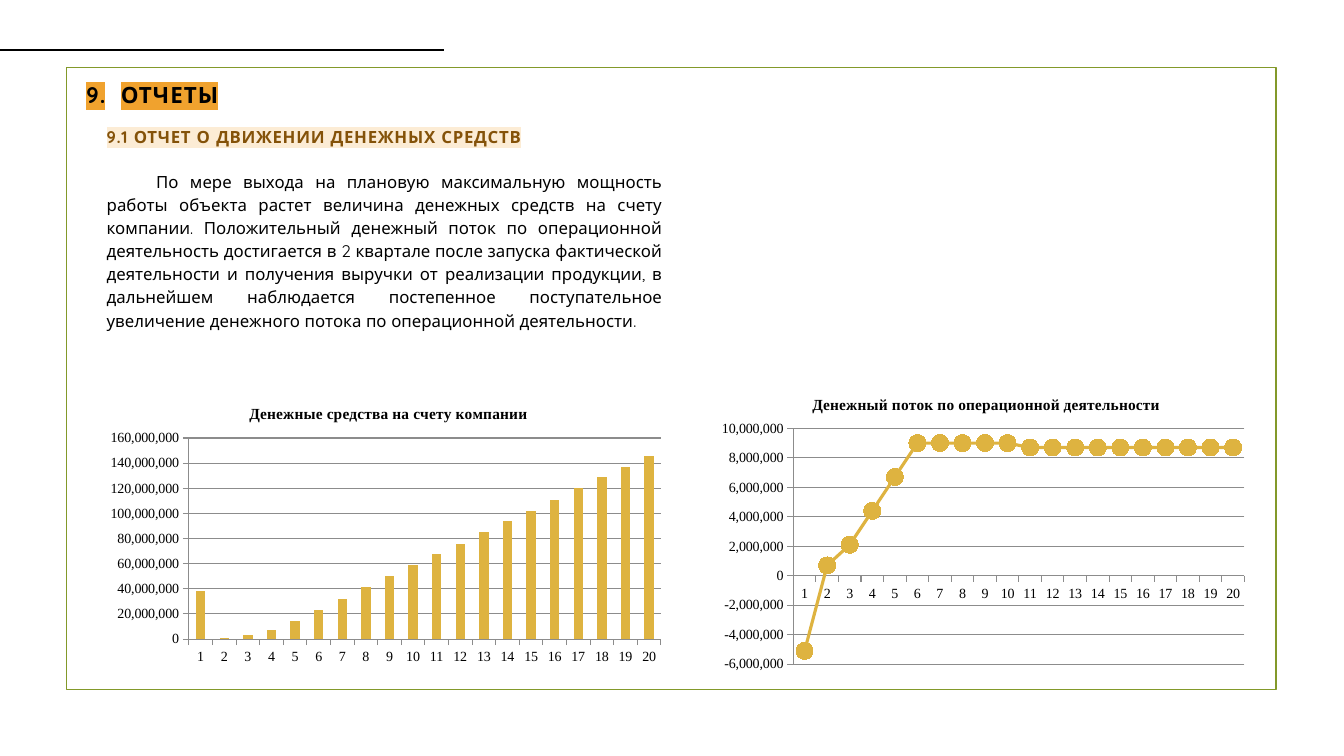
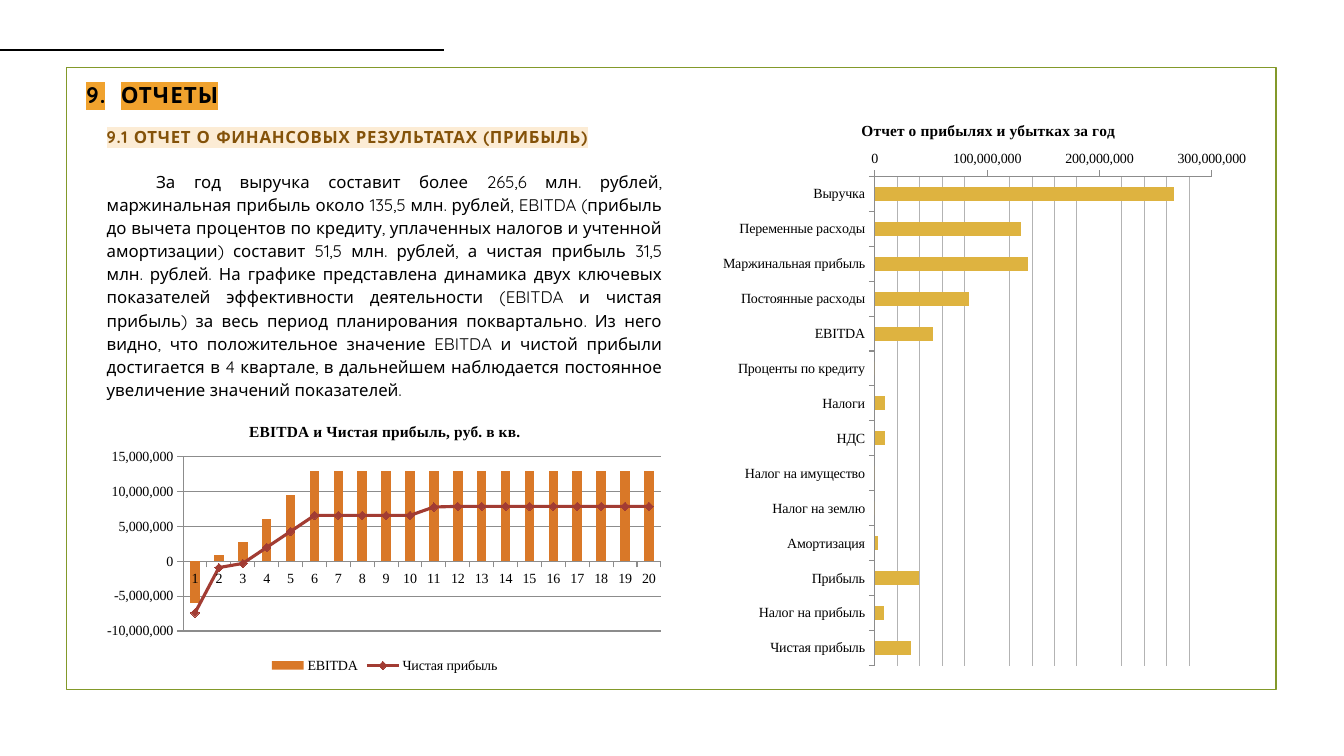
from pptx import Presentation
from pptx.chart.data import CategoryChartData
from pptx.dml.color import RGBColor
from pptx.enum.chart import XL_CHART_TYPE, XL_LEGEND_POSITION, XL_MARKER_STYLE, XL_TICK_MARK
from pptx.enum.shapes import MSO_CONNECTOR, MSO_SHAPE
from pptx.enum.text import PP_ALIGN
from pptx.oxml.ns import qn
from pptx.oxml.xmlchemy import OxmlElement
from pptx.util import Inches, Pt

TEXT_FONT = "Quicksand"
CHART_FONT = "Times New Roman"
BLACK = "000000"
OLIVE = "83992A"
ORANGE = "F0A22E"
CREAM = "FCECD5"
BROWN = "845209"
GOLD = "DEB340"
RUST = "D97828"
RED = "A23C33"
AXIS_GRAY = "8C8C8C"
GRID_GRAY = "B3B3B3"
MILLION = 1_000_000
QUARTERS = [str(quarter) for quarter in range(1, 21)]

CASH = [38, 1, 3, 7, 14, 23, 32, 41, 50, 59, 68, 76, 85, 94, 102, 111, 120, 129, 137, 146]
CASH_FLOW = [-5.1, 0.7, 2.1, 4.4, 6.7] + [9] * 5 + [8.7] * 10
EBITDA = [-6, 0.9, 2.7, 6.1, 9.5] + [12.9] * 15
NET_PROFIT = [-7.4, -0.9, -0.3, 2, 4.3] + [6.6] * 5 + [7.8] + [7.9] * 9
YEAR_RESULT = {
    "Выручка": 266,
    "Переменные расходы": 130,
    "Маржинальная прибыль": 136,
    "Постоянные расходы": 84,
    "EBITDA": 52,
    "Проценты по кредиту": 0,
    "Налоги": 9,
    "НДС": 9,
    "Налог на имущество": 0,
    "Налог на землю": 0,
    "Амортизация": 3,
    "Прибыль": 39,
    "Налог на прибыль": 8,
    "Чистая прибыль": 32,
}

CASH_TEXT = (
    "По мере выхода на плановую максимальную мощность работы объекта растет величина "
    "денежных средств на счету компании. Положительный денежный поток по операционной "
    "деятельность достигается в 2 квартале после запуска фактической деятельности и "
    "получения выручки от реализации продукции, в дальнейшем наблюдается постепенное "
    "поступательное увеличение денежного потока по операционной деятельности."
)
PROFIT_TEXT = (
    "За год выручка составит более 265,6 млн. рублей, маржинальная прибыль около 135,5 млн. "
    "рублей, EBITDA (прибыль до вычета процентов по кредиту, уплаченных налогов и учтенной "
    "амортизации) составит 51,5 млн. рублей, а чистая прибыль 31,5 млн. рублей. На графике "
    "представлена динамика двух ключевых показателей эффективности деятельности (EBITDA и "
    "чистая прибыль) за весь период планирования поквартально. Из него видно, что "
    "положительное значение EBITDA и чистой прибыли достигается в 4 квартале, в дальнейшем "
    "наблюдается постоянное увеличение значений показателей."
)


def color(hex_code):
    return RGBColor.from_string(hex_code)


def add_child(parent, tag, **attributes):
    child = OxmlElement(tag)
    for name, value in attributes.items():
        child.set(name, str(value))
    parent.append(child)
    return child


def style_font(font, size, hex_code=BLACK, face=CHART_FONT, bold=False):
    font.size = Pt(size)
    font.name = face
    font.bold = bold
    font.color.rgb = color(hex_code)


def style_line(line, hex_code, width=0.75):
    line.color.rgb = color(hex_code)
    line.width = Pt(width)


def write(frame, text, size=12, hex_code=BLACK, face=TEXT_FONT, bold=False, highlight=None,
          tracking=0, spacing=None, align=None, indent=0, tab=None):
    paragraph = frame.paragraphs[0]
    properties = paragraph._p.get_or_add_pPr()
    if align is not None:
        paragraph.alignment = align
    if spacing:
        paragraph.line_spacing = spacing
    if indent:
        properties.set("indent", str(Inches(indent)))
    if tab:
        tabs = add_child(properties, "a:tabLst")
        add_child(tabs, "a:tab", pos=Inches(tab), algn="l")
    run = paragraph.add_run()
    run.text = text
    style_font(run.font, size, hex_code, face, bold)
    run_properties = run._r.get_or_add_rPr()
    if tracking:
        run_properties.set("spc", str(int(tracking * 100)))
    if highlight:
        marker = OxmlElement("a:highlight")
        add_child(marker, "a:srgbClr", val=highlight)
        run_properties.find(qn("a:solidFill")).addnext(marker)


def add_text(slide, box, text, **text_format):
    frame = slide.shapes.add_textbox(*map(Inches, box)).text_frame
    frame.word_wrap = True
    write(frame, text, **text_format)


def add_report_slide(deck, heading, body, body_height):
    slide = deck.slides.add_slide(deck.slide_layouts[6])
    border = slide.shapes.add_shape(MSO_SHAPE.RECTANGLE, *map(Inches, (0.66, 0.67, 12, 6.17)))
    border.shadow.inherit = False
    border.fill.background()
    style_line(border.line, OLIVE, 1.25)
    add_text(slide, (0.76, 0.76, 11.8, 0.37), "9.\tОТЧЕТЫ", size=16, bold=True,
             highlight=ORANGE, tracking=0.8, tab=0.34)
    rule = slide.shapes.add_connector(MSO_CONNECTOR.STRAIGHT, *map(Inches, (0, 0.5, 4.4, 0.5)))
    style_line(rule.line, BLACK, 1.5)
    add_child(rule._element.spPr, "a:effectLst")
    add_text(slide, (0.96, 1.18, 5.91, 0.31), heading, hex_code=BROWN, bold=True,
             highlight=CREAM, tracking=0.5, spacing=1.15)
    add_text(slide, (0.96, 1.62, 5.71, body_height), body, spacing=1.15,
             align=PP_ALIGN.JUSTIFY, indent=0.49)
    return slide


def set_layout(parent, position, target=None, **fractions):
    for old_layout in parent.findall(qn("c:layout")):
        parent.remove(old_layout)
    layout = OxmlElement("c:layout")
    manual = add_child(layout, "c:manualLayout")
    if target:
        add_child(manual, "c:layoutTarget", val=target)
    add_child(manual, "c:xMode", val="edge")
    add_child(manual, "c:yMode", val="edge")
    for name, value in fractions.items():
        add_child(manual, f"c:{name}", val=value)
    parent.insert(position, layout)


def style_axes(chart, low, high, step):
    for axis in (chart.category_axis, chart.value_axis):
        axis.major_tick_mark = XL_TICK_MARK.OUTSIDE
        axis.minor_tick_mark = XL_TICK_MARK.NONE
        style_font(axis.tick_labels.font, 10)
        style_line(axis.format.line, AXIS_GRAY)
    values = chart.value_axis
    values.minimum_scale = low * MILLION
    values.maximum_scale = high * MILLION
    values.major_unit = step * MILLION
    values.tick_labels.number_format = "#,##0"
    values.tick_labels.number_format_is_linked = False
    values.has_major_gridlines = True
    style_line(values.major_gridlines.format.line, AXIS_GRAY)


def use_minor_gridlines(axis, unit, hex_code):
    axis.has_major_gridlines = False
    axis.has_minor_gridlines = True
    axis.minor_unit = unit
    gridlines = axis._element.find(qn("c:minorGridlines"))
    line = add_child(add_child(gridlines, "c:spPr"), "a:ln", w=Pt(0.75))
    add_child(add_child(line, "a:solidFill"), "a:srgbClr", val=hex_code)


def add_report_chart(slide, kind, box, title, title_at, plot_at, categories, series, scale):
    data = CategoryChartData()
    data.categories = categories
    for name, millions in series.items():
        data.add_series(name, [round(value * MILLION) for value in millions])
    chart = slide.shapes.add_chart(kind, *map(Inches, box), data).chart
    style_font(chart.font, 10)
    chart.has_legend = False
    chart.has_title = True
    write(chart.chart_title.text_frame, title, size=11, face=CHART_FONT, bold=True)
    set_layout(chart.chart_title._element, 1, **dict(zip("xy", title_at)))
    plot_area = chart._chartSpace.chart.plotArea
    set_layout(plot_area, 0, "inner", **dict(zip("xywh", plot_at)))
    chart.plots[0].vary_by_categories = False
    style_axes(chart, *scale)
    return chart


def style_bars(plot, hex_code):
    plot.gap_width = 150
    fill = plot.series[0].format.fill
    fill.solid()
    fill.fore_color.rgb = color(hex_code)
    plot.series[0].invert_if_negative = False


def style_curve(series, hex_code, marker_style, marker_size):
    series.smooth = False
    style_line(series.format.line, hex_code, 2.25)
    series.marker.style = marker_style
    series.marker.size = marker_size
    series.marker.format.fill.solid()
    series.marker.format.fill.fore_color.rgb = color(hex_code)
    style_line(series.marker.format.line, hex_code)


def move_last_series_to_line(chart):
    bars = chart._chartSpace.chart.plotArea.find(qn("c:barChart"))
    moved = bars.findall(qn("c:ser"))[-1]
    for flag in moved.findall(qn("c:invertIfNegative")):
        moved.remove(flag)
    curve = OxmlElement("c:lineChart")
    add_child(curve, "c:grouping", val="standard")
    add_child(curve, "c:varyColors", val=0)
    curve.append(moved)
    add_child(curve, "c:marker", val=1)
    for axis_id in bars.findall(qn("c:axId")):
        add_child(curve, "c:axId", val=axis_id.get("val"))
    bars.addnext(curve)


def add_cash_slide(deck):
    slide = add_report_slide(deck, "9.1 ОТЧЕТ О ДВИЖЕНИИ ДЕНЕЖНЫХ СРЕДСТВ", CASH_TEXT, 1.94)
    cash = add_report_chart(
        slide, XL_CHART_TYPE.COLUMN_CLUSTERED, (0.96, 3.84, 5.71, 2.81),
        "Денежные средства на счету компании", (0.26, 0.05), (0.16, 0.18, 0.82, 0.71),
        QUARTERS, {"Денежные средства": CASH}, (0, 160, 20))
    style_bars(cash.plots[0], GOLD)
    flow = add_report_chart(
        slide, XL_CHART_TYPE.LINE_MARKERS, (7.06, 3.74, 5.39, 3),
        "Денежный поток по операционной деятельности", (0.18, 0.05), (0.15, 0.17, 0.83, 0.78),
        QUARTERS, {"Денежный поток": CASH_FLOW}, (-6, 10, 2))
    style_curve(flow.plots[0].series[0], GOLD, XL_MARKER_STYLE.CIRCLE, 12)


def add_profit_slide(deck):
    slide = add_report_slide(deck, "9.1 ОТЧЕТ О ФИНАНСОВЫХ РЕЗУЛЬТАТАХ (ПРИБЫЛЬ)",
                             PROFIT_TEXT, 2.4)
    year = add_report_chart(
        slide, XL_CHART_TYPE.BAR_CLUSTERED, (7.06, 0.94, 5.39, 5.78),
        "Отчет о прибылях и убытках за год", (0.27, 0.04), (0.3, 0.14, 0.62, 0.84),
        list(YEAR_RESULT), {"За год": YEAR_RESULT.values()}, (0, 300, 100))
    style_bars(year.plots[0], GOLD)
    year.category_axis.reverse_order = True
    use_minor_gridlines(year.value_axis, 20 * MILLION, GRID_GRAY)

    quarterly = add_report_chart(
        slide, XL_CHART_TYPE.COLUMN_CLUSTERED, (0.96, 4.02, 5.71, 2.7),
        "EBITDA и Чистая прибыль, руб. в кв.", (0.26, 0.05), (0.15, 0.19, 0.83, 0.64),
        QUARTERS, {"EBITDA": EBITDA, "Чистая прибыль": NET_PROFIT}, (-10, 15, 5))
    move_last_series_to_line(quarterly)
    style_bars(quarterly.plots[0], RUST)
    style_curve(quarterly.plots[1].series[0], RED, XL_MARKER_STYLE.DIAMOND, 6)
    quarterly.has_legend = True
    quarterly.legend.position = XL_LEGEND_POSITION.BOTTOM
    quarterly.legend.include_in_layout = False
    style_font(quarterly.legend.font, 10)


def main():
    deck = Presentation()
    deck.slide_width = Inches(13.33)
    deck.slide_height = Inches(7.5)
    add_cash_slide(deck)
    add_profit_slide(deck)
    deck.save("out.pptx")


if __name__ == "__main__":
    main()
